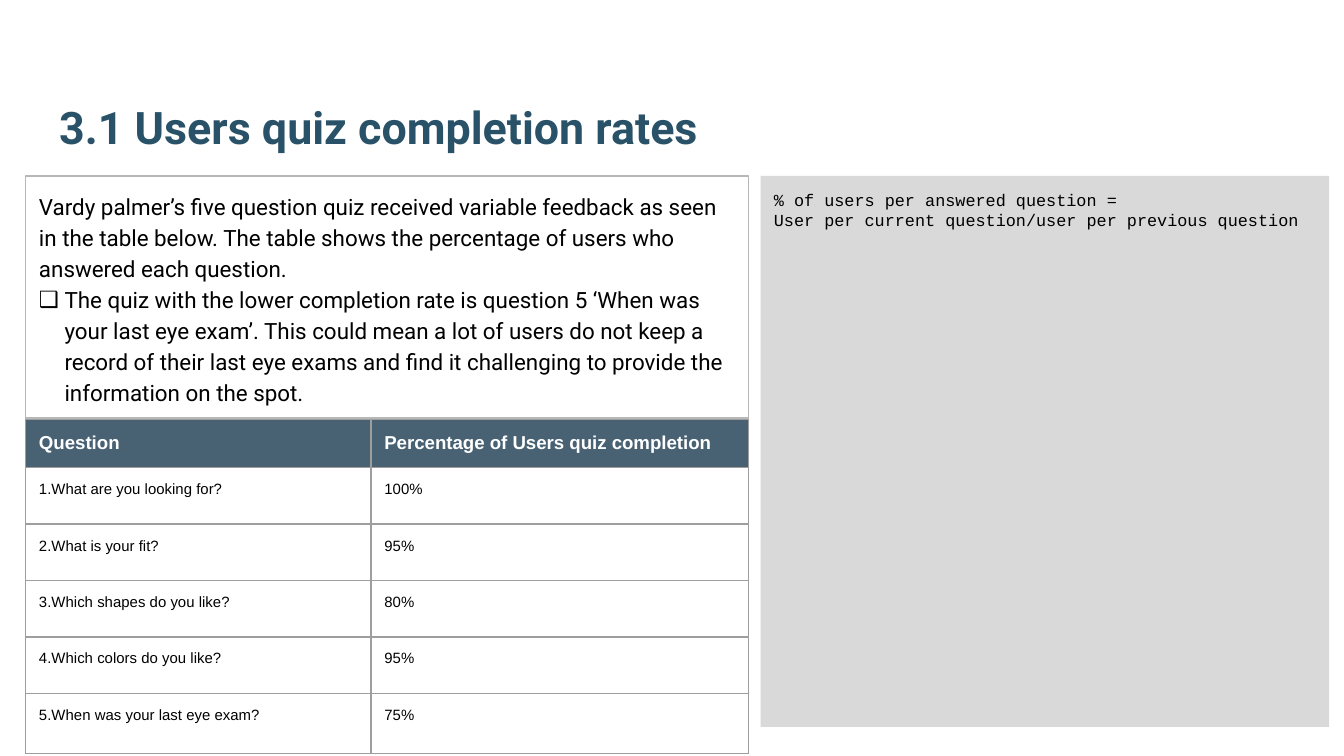
"""Build the quiz completion rates slide."""
from lxml.etree import SubElement
from pptx import Presentation
from pptx.dml.color import RGBColor
from pptx.enum.shapes import MSO_SHAPE as SHAPE
from pptx.enum.text import MSO_ANCHOR as ANCHOR, MSO_AUTO_SIZE as AUTO, PP_ALIGN as ALIGN
from pptx.oxml import parse_xml
from pptx.oxml.ns import nsdecls, qn
from pptx.util import Inches, Pt

TITLE = "3.1 Users quiz completion rates"
FINDINGS = [
    ("Vardy palmer’s five question quiz received variable feedback as seen in the table "
     "below. The table shows the percentage of users who answered each question.", None),
    ("The quiz with the lower completion rate is question 5 ‘When was your last eye exam’. "
     "This could mean a lot of users do not keep a record of their last eye exams and find "
     "it challenging to provide the information on the spot.", "❑"),
]
FORMULA = [
    "% of users per answered question =",
    "User per current question/user per previous question",
]
ROWS = [
    ("Question", "Percentage of Users quiz completion"),
    ("1.What are you looking for?", "100%"),
    ("2.What is your fit?", "95%"),
    ("3.Which shapes do you like?", "80%"),
    ("4.Which colors do you like?", "95%"),
    ("5.When was your last eye exam?", "75%"),
]
COL_WIDTHS = [2.57, 2.81]
ROW_HEIGHTS = [0.36, 0.42, 0.42, 0.42, 0.42, 0.45]

LEFT, TOP, TABLE_TOP = 0.19, 1.31, 3.12
INDENT = 0.19
THEME = {
    "title": ("Roboto", 24, "295269", True),
    "body": ("Roboto", 12, "000000", False),
    "code": ("Courier New", 9, "000000", False),
    "head": ("Arial", 10, "FFFFFF", True),
    "cell": ("Arial", 8, "000000", False),
    "panel": "D9D9D9",
    "outline": "B7B7B7",
    "grid": "9E9E9E",
    "head_fill": "204056",
    "head_alpha": 82,
    "line": 0.75,
}


def color(name):
    return RGBColor.from_string(THEME[name])


def place(sp, left, top, width, height):
    sp.left, sp.top, sp.width, sp.height = map(Inches, (left, top, width, height))


def setup_frame(tf, anchor):
    tf.word_wrap = True
    tf.auto_size = AUTO.NONE
    tf.vertical_anchor = anchor
    tf.margin_left = tf.margin_right = tf.margin_top = tf.margin_bottom = Inches(0.1)


def add_run(p, text, style):
    name, size, rgb, bold = THEME[style]
    p.alignment = ALIGN.LEFT
    r = p.add_run()
    r.text = text
    r.font.name, r.font.size, r.font.bold = name, Pt(size), bold
    r.font.color.rgb = RGBColor.from_string(rgb)


def paragraphs(tf, count):
    return [tf.paragraphs[0]] + [tf.add_paragraph() for _ in range(count - 1)]


def set_bullet(p, char):
    pPr = p._p.get_or_add_pPr()
    indent = Inches(INDENT) if char else 0
    pPr.set("marL", str(indent))
    pPr.set("indent", str(-indent))
    if char:
        clr = SubElement(pPr, qn("a:buClr"))
        SubElement(clr, qn("a:srgbClr"), val=THEME["body"][2])
        SubElement(pPr, qn("a:buChar"), char=char)
    else:
        SubElement(pPr, qn("a:buNone"))


def set_borders(cell):
    tcPr = cell._tc.get_or_add_tcPr()
    for i, side in enumerate(("lnL", "lnR", "lnT", "lnB")):
        tcPr.insert(i, parse_xml(
            f'<a:{side} {nsdecls("a")} w="{Pt(THEME["line"])}"><a:solidFill>'
            f'<a:srgbClr val="{THEME["grid"]}"/></a:solidFill></a:{side}>'))


def fill_cell(cell, text, is_head):
    cell.margin_left = cell.margin_right = Inches(0.1)
    cell.margin_top = cell.margin_bottom = Inches(0.1)
    add_run(cell.text_frame.paragraphs[0], text, "head" if is_head else "cell")
    if is_head:
        cell.fill.solid()
        cell.fill.fore_color.rgb = color("head_fill")
        clr = cell._tc.tcPr.find(".//" + qn("a:srgbClr"))
        SubElement(clr, qn("a:alpha"), val=str(THEME["head_alpha"] * 1000))
    else:
        cell.fill.background()
    set_borders(cell)


def add_title(s):
    sp = s.shapes.title
    place(sp, 0.34, 0.32, 9.32, 0.92)
    setup_frame(sp.text_frame, ANCHOR.BOTTOM)
    add_run(sp.text_frame.paragraphs[0], TITLE, "title")


def add_formula(s):
    sp = s.shapes.add_shape(SHAPE.RECTANGLE, *map(Inches, (5.66, TOP, 4.23, 4.1)))
    sp.shadow.inherit = False
    sp.fill.solid()
    sp.fill.fore_color.rgb = color("panel")
    sp.line.fill.background()
    setup_frame(sp.text_frame, ANCHOR.TOP)
    for p, text in zip(paragraphs(sp.text_frame, len(FORMULA)), FORMULA):
        add_run(p, text, "code")


def add_findings(s):
    sp = s.placeholders[1]
    place(sp, LEFT, TOP, sum(COL_WIDTHS), 1.8)
    sp.line.color.rgb = color("outline")
    sp.line.width = Pt(THEME["line"])
    setup_frame(sp.text_frame, ANCHOR.TOP)
    for p, (text, char) in zip(paragraphs(sp.text_frame, len(FINDINGS)), FINDINGS):
        set_bullet(p, char)
        p.line_spacing = 1.15
        p.space_before = Pt(0)
        add_run(p, text, "body")


def add_rates(s):
    size = (LEFT, TABLE_TOP, sum(COL_WIDTHS), sum(ROW_HEIGHTS))
    table = s.shapes.add_table(len(ROWS), len(COL_WIDTHS), *map(Inches, size)).table
    table.horz_banding = False
    for col, width in zip(table.columns, COL_WIDTHS):
        col.width = Inches(width)
    for i, (row, height) in enumerate(zip(table.rows, ROW_HEIGHTS)):
        row.height = Inches(height)
        for cell, text in zip(row.cells, ROWS[i]):
            fill_cell(cell, text, i == 0)


def main():
    prs = Presentation()
    prs.slide_width = Inches(10)
    prs.slide_height = prs.slide_width * 9 // 16
    s = prs.slides.add_slide(prs.slide_layouts[1])
    add_title(s)
    add_formula(s)
    add_findings(s)
    add_rates(s)
    prs.save("out.pptx")


if __name__ == "__main__":
    main()
